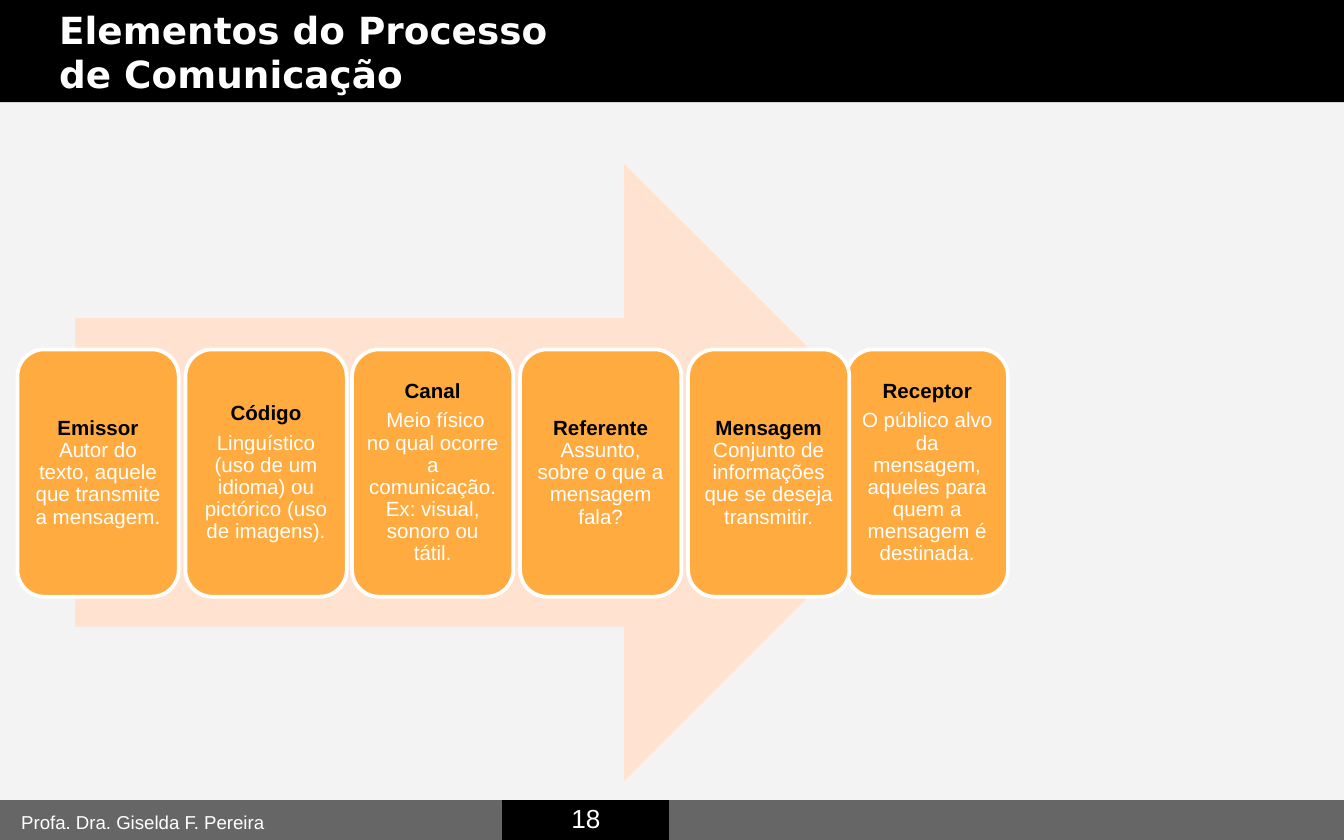
import pptx
import pptx.util
import pptx.dml.color
import pptx.enum.shapes
import pptx.enum.text

SCALE = 9144
SHAPES = pptx.enum.shapes.MSO_SHAPE
ALIGN = pptx.enum.text.PP_ALIGN
ANCHOR = pptx.enum.text.MSO_ANCHOR


def px(length):
    return pptx.util.Emu(length * SCALE)


def rgb(value):
    return pptx.dml.color.RGBColor.from_string(value)


def write(shape, paragraphs, font="Arial", size=11, color="FFFFFF", bold=False, align=ALIGN.LEFT,
          anchor=ANCHOR.TOP, inset=(10, 10), line_spacing=1.0, space_after=0):
    frame = shape.text_frame
    frame.auto_size = pptx.enum.text.MSO_AUTO_SIZE.NONE
    frame.word_wrap = True
    frame.vertical_anchor = anchor
    frame.margin_left = frame.margin_right = px(inset[0])
    frame.margin_top = frame.margin_bottom = px(inset[1])
    for index, runs in enumerate(paragraphs):
        paragraph = frame.add_paragraph() if index else frame.paragraphs[0]
        paragraph.alignment = align
        paragraph.line_spacing = line_spacing
        paragraph.space_before = pptx.util.Pt(0)
        paragraph.space_after = pptx.util.Pt(space_after)
        for text, run_format in runs:
            run = paragraph.add_run()
            run.text = text
            run.font.name = font
            run.font.size = pptx.util.Pt(size)
            run.font.bold = run_format.get("bold", bold)
            run.font.color.rgb = rgb(run_format.get("color", color))


class SlideBuilder:
    black = "000000"
    gray = "666666"
    white = "FFFFFF"
    orange = "FFAB40"
    peach = "FFE2CF"
    background = "F3F3F3"

    def __init__(self, presentation):
        self.slide = presentation.slides.add_slide(presentation.slide_layouts[5])
        fill = self.slide.background.fill
        fill.solid()
        fill.fore_color.rgb = rgb(self.background)

    def shape(self, kind, box, fill, line=None, line_width=0.75):
        shape = self.slide.shapes.add_shape(kind, *map(px, box))
        shape.shadow.inherit = False
        shape.fill.solid()
        shape.fill.fore_color.rgb = rgb(fill)
        if line:
            shape.line.color.rgb = rgb(line)
            shape.line.width = pptx.util.Pt(line_width)
        else:
            shape.line.fill.background()
        return shape

    def bar(self, box, fill, line=None):
        self.shape(SHAPES.RECTANGLE, box, fill, line)

    def label(self, box, text, **text_format):
        write(self.slide.shapes.add_textbox(*map(px, box)), [[(text, {})]], **text_format)

    def title(self, box, lines):
        title = self.slide.shapes.title
        title.element.getparent().append(title.element)
        title.left, title.top, title.width, title.height = map(px, box)
        write(title, [[(line, {})] for line in lines], font="DejaVu Sans", size=20,
              bold=True, inset=(10, 5))

    def card(self, left, heading, body, inline):
        card = self.shape(SHAPES.ROUNDED_RECTANGLE, (left, 260, 120, 184), self.orange, self.white, 2)
        heading_run = (heading, {"bold": True, "color": self.black})
        if inline:
            paragraphs = [[heading_run, (" " + body, {})]]
        else:
            paragraphs = [[heading_run], [(body, {})]]
        write(card, paragraphs, align=ALIGN.CENTER, anchor=ANCHOR.MIDDLE, inset=(5, 5),
              line_spacing=0.9, space_after=3.85)


def main():
    presentation = pptx.Presentation()
    presentation.slide_width = px(1000)
    presentation.slide_height = px(625)
    builder = SlideBuilder(presentation)

    builder.bar((0, 0, 1000, 76), builder.black)
    builder.bar((0, 596, 1000, 29), builder.black, builder.black)
    for left, width in ((0, 373), (498, 502)):
        builder.bar((left, 596, width, 29), builder.gray, builder.gray)
    builder.label((6, 593, 304, 35), "Profa. Dra. Giselda F. Pereira", size=10)

    builder.shape(SHAPES.RIGHT_ARROW, (56, 122, 638, 459), builder.peach)
    builder.card(630, "Receptor",
                 "O público alvo da mensagem, aqueles para quem a mensagem é destinada.", False)
    elements = (
        ("Emissor", "Autor do texto, aquele que transmite a mensagem.", True),
        ("Código", "Linguístico (uso de um idioma) ou pictórico (uso de imagens).", False),
        ("Canal", " Meio físico no qual ocorre a comunicação. Ex: visual, sonoro ou tátil.", False),
        ("Referente", "Assunto, sobre o que a mensagem fala?", True),
        ("Mensagem", "Conjunto de informações que se deseja transmitir.", True),
    )
    for index, element in enumerate(elements):
        builder.card(round(13 + 124.7 * index), *element)

    builder.title((34, 0, 466, 77), ("Elementos do Processo", "de Comunicação"))
    builder.label((406, 591, 60, 35), "18", size=14, align=ALIGN.CENTER, anchor=ANCHOR.MIDDLE)
    presentation.save("out.pptx")


if __name__ == "__main__":
    main()
